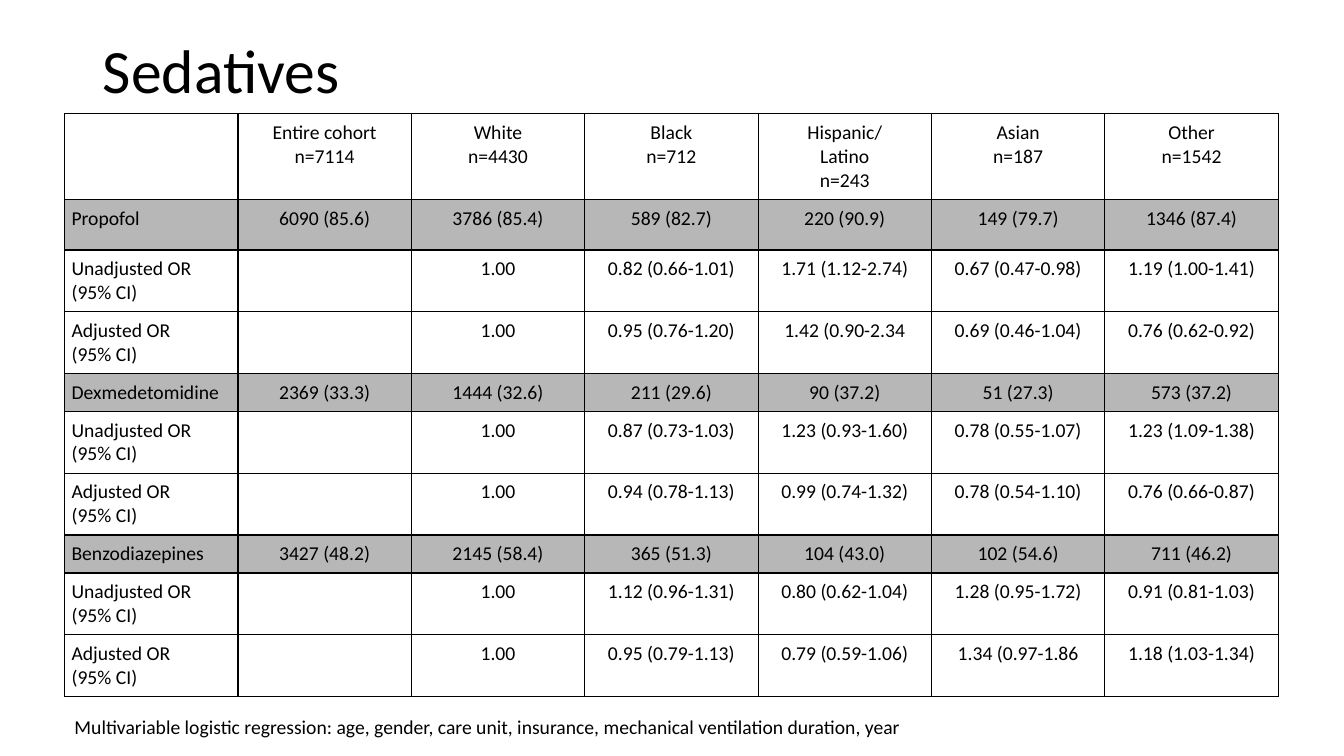
from lxml.etree import SubElement, fromstring
from pptx import Presentation
from pptx.dml.color import RGBColor
from pptx.enum.text import MSO_ANCHOR as ANCHOR, PP_ALIGN as ALIGN
from pptx.oxml.ns import nsdecls, qn
from pptx.util import Inches, Pt

GREY = "B7B7B7"
BLACK = "000000"
COL_WIDTH = 1.72
HEADER_HEIGHT = 0.84
OR_HEIGHT = 0.5
UNADJUSTED = "Unadjusted OR (95% CI)"
ADJUSTED = "Adjusted OR\n(95% CI)"

HEADER = ["", "Entire cohort\nn=7114", "White\nn=4430", "Black\nn=712",
          "Hispanic/\nLatino\nn=243", "Asian\nn=187", "Other\nn=1542"]

SEDATIVES = [
    ("Propofol", 0.5,
     ["6090 (85.6)", "3786 (85.4)", "589 (82.7)", "220 (90.9)", "149 (79.7)", "1346 (87.4)"],
     ["0.82 (0.66-1.01)", "1.71 (1.12-2.74)", "0.67 (0.47-0.98)", "1.19 (1.00-1.41)"],
     ["0.95 (0.76-1.20)", "1.42 (0.90-2.34", "0.69 (0.46-1.04)", "0.76 (0.62-0.92)"]),
    ("Dexmedetomidine", 0.31,
     ["2369 (33.3)", "1444 (32.6)", "211 (29.6)", "90 (37.2)", "51 (27.3)", "573 (37.2)"],
     ["0.87 (0.73-1.03)", "1.23 (0.93-1.60)", "0.78 (0.55-1.07)", "1.23 (1.09-1.38)"],
     ["0.94 (0.78-1.13)", "0.99 (0.74-1.32)", "0.78 (0.54-1.10)", "0.76 (0.66-0.87)"]),
    ("Benzodiazepines", 0.31,
     ["3427 (48.2)", "2145 (58.4)", "365 (51.3)", "104 (43.0)", "102 (54.6)", "711 (46.2)"],
     ["1.12 (0.96-1.31)", "0.80 (0.62-1.04)", "1.28 (0.95-1.72)", "0.91 (0.81-1.03)"],
     ["0.95 (0.79-1.13)", "0.79 (0.59-1.06)", "1.34 (0.97-1.86", "1.18 (1.03-1.34)"]),
]


def color(value):
    return RGBColor.from_string(value)


class SlideBuilder:
    font = "Calibri"
    body_size = 14
    title_size = 44

    def __init__(self, prs):
        self.s = prs.slides.add_slide(prs.slide_layouts[5])

    def add_text(self, tf, text, size, align=ALIGN.LEFT, spacing=None):
        for i, line in enumerate(text.split("\n")):
            p = tf.paragraphs[0] if i == 0 else tf.add_paragraph()
            p.alignment = align
            if spacing:
                p.line_spacing = spacing
            r = p.add_run()
            r.text = line
            r.font.name = self.font
            r.font.size = Pt(size)
            r.font.color.rgb = color(BLACK)

    def title(self, text, left, top, width, height):
        sp = self.s.shapes.title
        sp.left, sp.top = Inches(left), Inches(top)
        sp.width, sp.height = Inches(width), Inches(height)
        sp.text_frame.vertical_anchor = ANCHOR.MIDDLE
        self.add_text(sp.text_frame, text, self.title_size, spacing=0.9)

    def note(self, text, left, top, width, height):
        sp = self.s.shapes.add_textbox(Inches(left), Inches(top), Inches(width), Inches(height))
        tf = sp.text_frame
        tf.word_wrap = True
        tf.margin_left = tf.margin_right = tf.margin_top = tf.margin_bottom = Inches(0.1)
        self.add_text(tf, text, self.body_size)

    def borders(self, cell):
        tc_pr = cell._tc.get_or_add_tcPr()
        for i, side in enumerate(("lnL", "lnR", "lnT", "lnB")):
            ln = fromstring(f'<a:{side} {nsdecls("a")} w="{Pt(1)}"/>')
            fill = SubElement(ln, qn("a:solidFill"))
            SubElement(fill, qn("a:srgbClr"), val=BLACK)
            tc_pr.insert(i, ln)

    def cell(self, cell, text, align, fill):
        cell.margin_left = cell.margin_right = Inches(0.07)
        cell.margin_top = cell.margin_bottom = Inches(0.07)
        if fill:
            cell.fill.solid()
            cell.fill.fore_color.rgb = color(fill)
        else:
            cell.fill.background()
        self.borders(cell)
        if text:
            self.add_text(cell.text_frame, text, self.body_size, align)

    def table(self, rows, left, top):
        count = len(rows[0][1])
        height = sum(row[0] for row in rows)
        table = self.s.shapes.add_table(len(rows), count, Inches(left), Inches(top),
                                        Inches(COL_WIDTH * count), Inches(height)).table
        table.first_row = table.horz_banding = False
        for column in table.columns:
            column.width = Inches(COL_WIDTH)
        for i, (row_height, texts, fill) in enumerate(rows):
            table.rows[i].height = Inches(row_height)
            for j, text in enumerate(texts):
                align = ALIGN.CENTER if j else ALIGN.LEFT
                self.cell(table.cell(i, j), text, align, fill)


def sedative_rows():
    rows = [(HEADER_HEIGHT, HEADER, None)]
    for name, height, counts, unadjusted, adjusted in SEDATIVES:
        rows.append((height, [name] + counts, GREY))
        for label, ratios in ((UNADJUSTED, unadjusted), (ADJUSTED, adjusted)):
            rows.append((OR_HEIGHT, [label, "", "1.00"] + ratios, None))
    return rows


def main():
    prs = Presentation()
    prs.slide_width, prs.slide_height = Inches(13.33), Inches(7.5)
    builder = SlideBuilder(prs)
    builder.title("Sedatives", 0.92, 0, 11.5, 1.45)
    builder.table(sedative_rows(), 0.64, 1.13)
    builder.note("Multivariable logistic regression: age, gender, care unit, insurance, "
                 "mechanical ventilation duration, year", 0.64, 6.99, 11.12, 0.46)
    prs.save("out.pptx")


if __name__ == "__main__":
    main()
